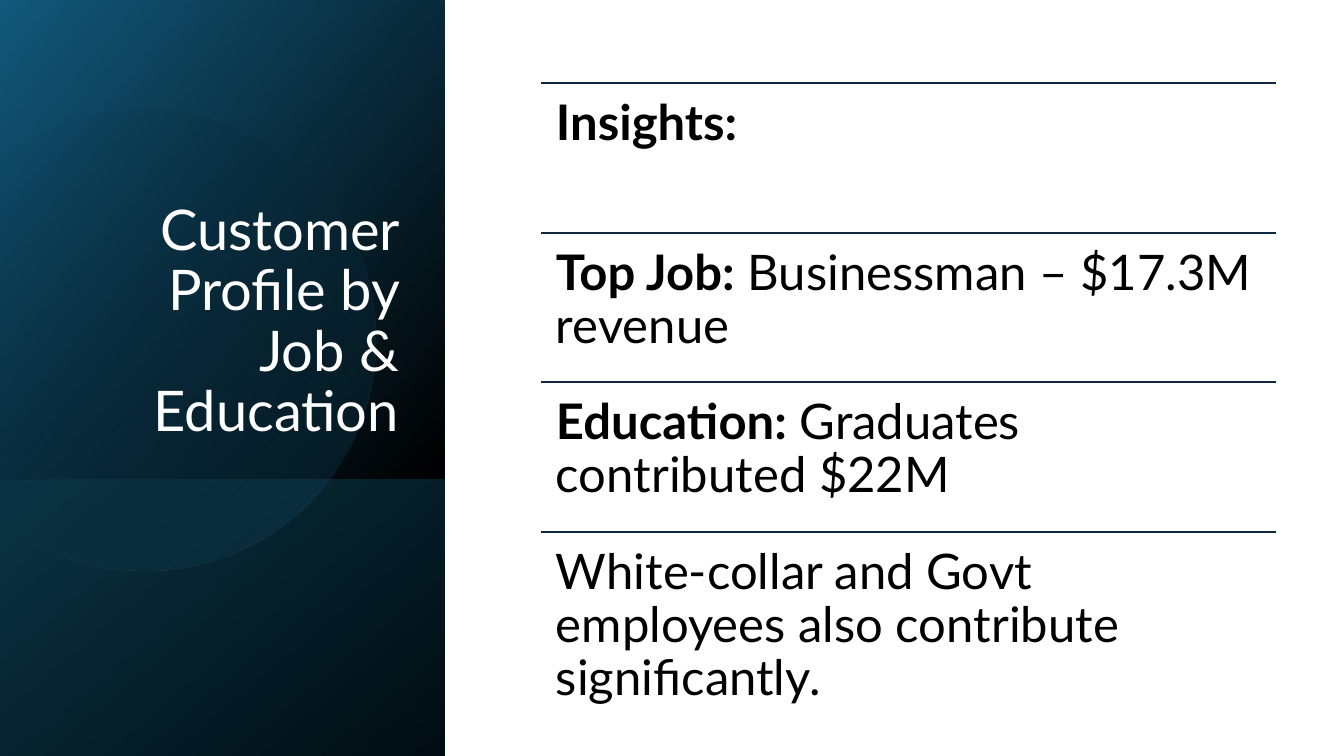
from math import acos, cos, sin

from lxml.etree import SubElement
from pptx import Presentation
from pptx.dml.color import RGBColor
from pptx.enum.shapes import MSO_CONNECTOR, MSO_SHAPE
from pptx.enum.text import MSO_ANCHOR, MSO_AUTO_SIZE, PP_ALIGN
from pptx.oxml.ns import qn
from pptx.util import Pt

TITLE = "Customer Profile by Job & Education"
INSIGHTS = [
    ("Insights:", ""),
    ("Top Job:", " Businessman – $17.3M revenue"),
    ("Education:", " Graduates contributed $22M"),
    ("", "White-collar and Govt employees also contribute significantly."),
]
COLORS = {
    "title": "FFFFFF",
    "body": "000000",
    "divider": "0E2841",
    "bright": "12587A",
    "teal": "0B3444",
    "deep": "010C12",
    "black": "000000",
    "glow": "156082",
}
FONT = "Lato"
PX = 914400 / 100.8
SLIDE_W, SLIDE_H = 1344, 756
PANEL_W, SEAM_Y = 445, 480
TITLE_BOX = (65, 185, 344, 264)
GLOW_X, GLOW_Y, GLOW_R, GLOW_STEPS = 144, 340, 231, 90
LIST_X, LIST_Y, LIST_W, ROW_H, ROW_INSET = 541, 83, 735, 150, 15


def px(*lengths):
    return [round(length * PX) for length in lengths]


def rgb(name):
    return RGBColor.from_string(COLORS[name])


def write(frame, runs, size, color, align=PP_ALIGN.LEFT, anchor=MSO_ANCHOR.TOP, inset=None):
    frame.word_wrap = True
    frame.auto_size = MSO_AUTO_SIZE.NONE
    frame.vertical_anchor = anchor
    if inset is not None:
        [margin] = px(inset)
        frame.margin_left = frame.margin_right = margin
        frame.margin_top = frame.margin_bottom = margin
    paragraph = frame.paragraphs[0]
    paragraph.alignment = align
    paragraph.line_spacing = 0.9
    for text, bold in runs:
        if text:
            run = paragraph.add_run()
            run.text = text
            run.font.name = FONT
            run.font.size = Pt(size)
            run.font.bold = bold
            run.font.color.rgb = rgb(color)


def shade(shape, start, end, angle, alphas=(100, 100)):
    shape.shadow.inherit = False
    shape.line.fill.background()
    shape.fill.gradient()
    shape.fill.gradient_angle = angle
    for stop, color, position in zip(shape.fill.gradient_stops, (start, end), (0, 1)):
        stop.color.rgb = rgb(color)
        stop.position = position
    for swatch, alpha in zip(shape.element.spPr.iter(qn("a:srgbClr")), alphas):
        if alpha < 100:
            SubElement(swatch, qn("a:alpha"), val=str(alpha * 1000))


def add_panel(shapes):
    for top, bottom, start, end, angle in (
        (0, SEAM_Y, "bright", "black", 320),
        (SEAM_Y, SLIDE_H, "teal", "deep", 310),
    ):
        band = shapes.add_shape(MSO_SHAPE.RECTANGLE, *px(0, top, PANEL_W, bottom - top))
        shade(band, start, end, angle)

    reach = acos(-GLOW_X / GLOW_R)
    angles = [reach * (2 * step / GLOW_STEPS - 1) for step in range(GLOW_STEPS + 1)]
    edge = [px(max(0, GLOW_X + GLOW_R * cos(a)), GLOW_Y + GLOW_R * sin(a)) for a in angles]
    builder = shapes.build_freeform(*edge[0])
    builder.add_line_segments(edge[1:], close=True)
    shade(builder.convert_to_shape(), "black", "glow", 315, alphas=(0, 30))


def add_insights(shapes):
    for row, (label, detail) in enumerate(INSIGHTS):
        top = LIST_Y + row * ROW_H - row // 2
        divider = shapes.add_connector(
            MSO_CONNECTOR.STRAIGHT, *px(LIST_X, top, LIST_X + LIST_W, top)
        )
        divider.line.color.rgb = rgb("divider")
        divider.line.width = Pt(1)
        SubElement(divider.element.spPr, qn("a:effectLst"))
        box = shapes.add_textbox(*px(LIST_X, top, LIST_W, ROW_H))
        write(box.text_frame, [(label, True), (detail, False)], 35, "body", inset=ROW_INSET)


def main():
    deck = Presentation()
    deck.slide_width, deck.slide_height = px(SLIDE_W, SLIDE_H)
    slide = deck.slides.add_slide(deck.slide_layouts[5])
    shapes = slide.shapes
    add_panel(shapes)
    heading = shapes.title
    heading.left, heading.top, heading.width, heading.height = px(*TITLE_BOX)
    write(heading.text_frame, [(TITLE, False)], 40, "title", PP_ALIGN.RIGHT, MSO_ANCHOR.BOTTOM)
    shapes.element.append(heading.element)
    add_insights(shapes)
    deck.save("out.pptx")


if __name__ == "__main__":
    main()
